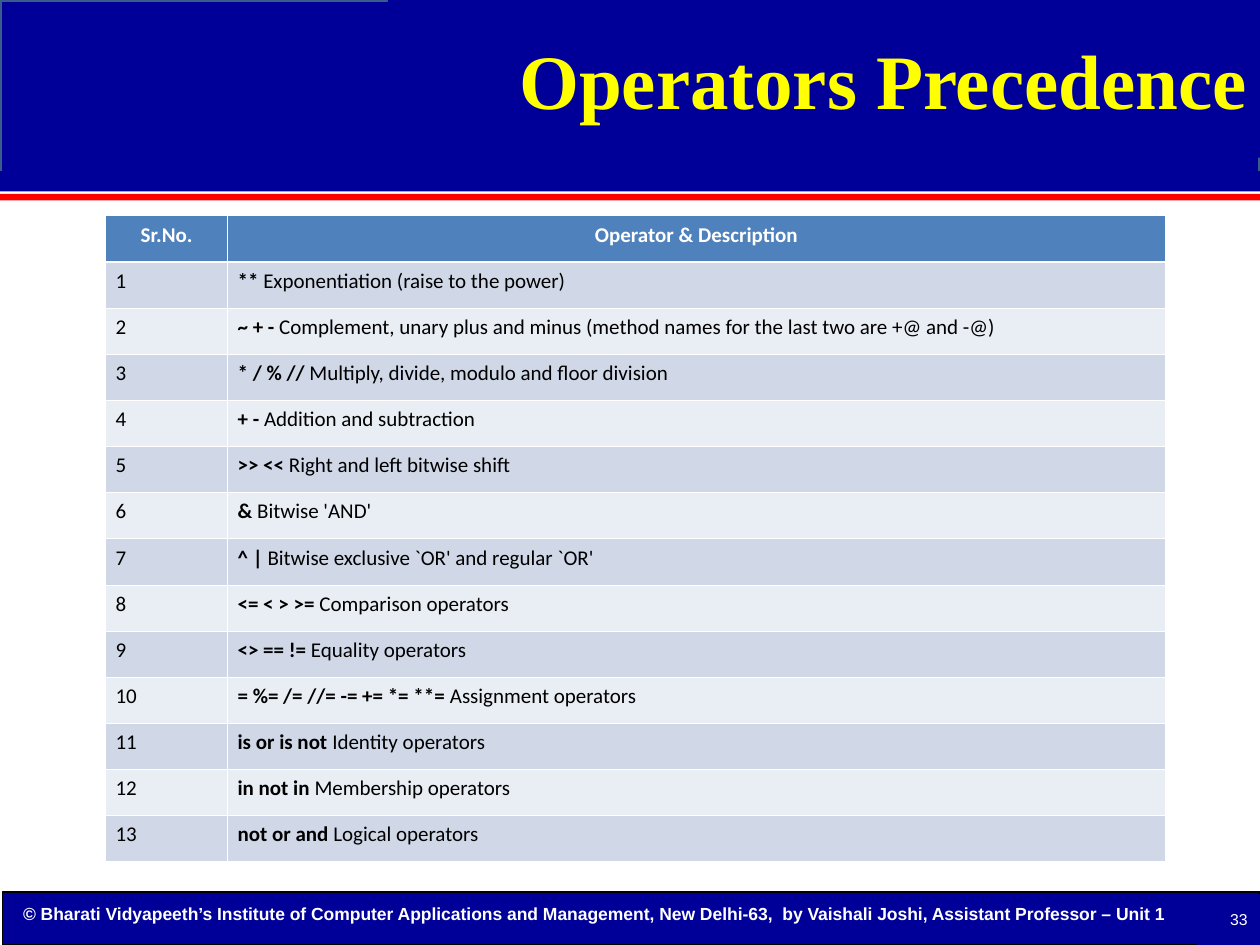
from dataclasses import dataclass

from lxml import etree
from pptx import Presentation
from pptx.dml.color import RGBColor
from pptx.enum.shapes import MSO_SHAPE
from pptx.enum.text import MSO_ANCHOR, PP_ALIGN
from pptx.oxml.ns import qn
from pptx.util import Cm, Pt

RECTANGLE = MSO_SHAPE.RECTANGLE
TOP, MIDDLE, BOTTOM = MSO_ANCHOR.TOP, MSO_ANCHOR.MIDDLE, MSO_ANCHOR.BOTTOM
LEFT, CENTER, RIGHT, JUSTIFY = (
    PP_ALIGN.LEFT, PP_ALIGN.CENTER, PP_ALIGN.RIGHT, PP_ALIGN.JUSTIFY)

COLORS = {
    "navy": "000099", "red": "FF0000", "yellow": "FFFF00", "white": "FFFFFF",
    "black": "000000", "outline": "385D8A",
    "header": "4F81BD", "band_dark": "D0D8E8", "band_light": "E9EDF4",
}


@dataclass
class Panel:
    left: float
    top: float
    width: float
    height: float
    fill: str | None = "navy"
    line: str | None = None
    line_width: float = 0.75


@dataclass
class Label:
    text: str
    font: str
    size: float
    color: str
    bold: bool = True
    align: PP_ALIGN = RIGHT
    anchor: MSO_ANCHOR = MIDDLE


@dataclass
class Operator:
    symbols: str
    description: str


FOOTER_BAR = Panel(0.05, 17.98, 25.35, 1.07, line="black")
HEADER = Panel(0, 0, 25.4, 3.61, line="outline", line_width=2)
HEADER_EDGE = Panel(0, 3.45, 25.4, 0.41)
RED_RULE = Panel(0, 3.91, 25.4, 0.13, fill="red")
COPYRIGHT_AREA = Panel(0, 18.06, 23.93, 0.69, fill=None)
TITLE_AREA = Panel(7.82, 0, 17.58, 3.18)
NUMBER_AREA = Panel(24.13, 18.03, 1.27, 1.02)

COPYRIGHT = Label(
    "© Bharati Vidyapeeth’s Institute of Computer Applications and Management, "
    "New Delhi-63,  by Vaishali Joshi, Assistant Professor – Unit 1",
    "Arial", 10, "white", align=CENTER, anchor=BOTTOM)
TITLE = Label("Operators Precedence", "Times New Roman", 44, "yellow")
PAGE_NUMBER = Label("33", "Arial", 9, "white", bold=False)

HEADINGS = ("Sr.No.", "Operator & Description")
OPERATORS = [
    Operator("**", "Exponentiation (raise to the power)"),
    Operator("~ + -", "Complement, unary plus and minus "
                      "(method names for the last two are +@ and -@)"),
    Operator("* / % //", "Multiply, divide, modulo and floor division"),
    Operator("+ -", "Addition and subtraction"),
    Operator(">> <<", "Right and left bitwise shift"),
    Operator("&", "Bitwise 'AND'"),
    Operator("^ |", "Bitwise exclusive `OR' and regular `OR'"),
    Operator("<= < > >=", "Comparison operators"),
    Operator("<> == !=", "Equality operators"),
    Operator("= %= /= //= -= += *= **=", "Assignment operators"),
    Operator("is or is not", "Identity operators"),
    Operator("in not in", "Membership operators"),
    Operator("not or and", "Logical operators"),
]
COLUMN_WIDTHS = (2.46, 18.9)
TABLE_LEFT, TABLE_TOP, ROW_HEIGHT = 2.13, 4.35, 0.93
THIN, THICK = 0.45, 1.47


def rgb(name: str) -> RGBColor:
    return RGBColor.from_string(COLORS[name])


def draw_panel(page, panel: Panel, label: Label | None = None) -> None:
    """Draw a rectangle, or a plain text box when it has no fill."""
    area = [Cm(v) for v in (panel.left, panel.top, panel.width, panel.height)]
    if panel.fill is None:
        box = page.shapes.add_textbox(*area)
    else:
        box = page.shapes.add_shape(RECTANGLE, *area)
        box.shadow.inherit = False
        box.fill.solid()
        box.fill.fore_color.rgb = rgb(panel.fill)
        if panel.line:
            box.line.color.rgb = rgb(panel.line)
            box.line.width = Pt(panel.line_width)
        else:
            box.line.fill.background()
    if label:
        write_label(box.text_frame, label)


def write_label(frame, label: Label) -> None:
    frame.word_wrap = True
    frame.vertical_anchor = label.anchor
    para = frame.paragraphs[0]
    para.text = label.text
    para.alignment = label.align
    set_font(para.font, label.font, label.size, label.color)
    para.font.bold = label.bold


def set_font(font, name: str, size: float, color: str) -> None:
    font.name = name
    font.size = Pt(size)
    font.color.rgb = rgb(color)


def set_borders(cell, top: float, bottom: float) -> None:
    properties = cell._tc.get_or_add_tcPr()
    widths = {"a:lnL": THIN, "a:lnR": THIN, "a:lnT": top, "a:lnB": bottom}
    for tag, width in widths.items():
        line = etree.SubElement(properties, qn(tag), w=str(Pt(width)))
        fill = etree.SubElement(line, qn("a:solidFill"))
        etree.SubElement(fill, qn("a:srgbClr"), val=COLORS["white"])


def fill_cell(cell, row: int, spans: list[tuple[str, bool]],
              align: PP_ALIGN) -> None:
    """Style one cell and write its (text, bold) spans."""
    set_borders(cell, THICK if row == 1 else THIN, THICK if row == 0 else THIN)
    cell.fill.solid()
    band = "band_dark" if row % 2 else "band_light"
    cell.fill.fore_color.rgb = rgb("header" if row == 0 else band)
    cell.margin_left = cell.margin_right = Cm(0.2)
    cell.margin_top = cell.margin_bottom = Cm(0.13)
    cell.vertical_anchor = TOP
    para = cell.text_frame.paragraphs[0]
    para.alignment = align
    set_font(para.font, "Calibri", 12, "black" if row else "white")
    for text, bold in spans:
        span = para.add_run()
        span.text = text
        span.font.bold = bold


def draw_table(page) -> None:
    row_count = len(OPERATORS) + 1
    table = page.shapes.add_table(
        row_count, len(COLUMN_WIDTHS), Cm(TABLE_LEFT), Cm(TABLE_TOP),
        Cm(sum(COLUMN_WIDTHS)), Cm(ROW_HEIGHT * row_count)).table
    table.horz_banding = False
    for column, width in zip(table.columns, COLUMN_WIDTHS):
        column.width = Cm(width)
    for column, heading in enumerate(HEADINGS):
        fill_cell(table.cell(0, column), 0, [(heading, True)], CENTER)
    for row, operator in enumerate(OPERATORS, start=1):
        fill_cell(table.cell(row, 0), row, [(str(row), False)], LEFT)
        spans = [(operator.symbols + " ", True), (operator.description, False)]
        fill_cell(table.cell(row, 1), row, spans, JUSTIFY)


def main() -> None:
    deck = Presentation()
    deck.slide_width, deck.slide_height = Cm(25.4), Cm(19.05)
    page = deck.slides.add_slide(deck.slide_layouts[6])

    # Footer bar and copyright line
    draw_panel(page, FOOTER_BAR)
    draw_panel(page, COPYRIGHT_AREA, COPYRIGHT)

    # Header band, red rule and title
    for panel in (HEADER, HEADER_EDGE, RED_RULE):
        draw_panel(page, panel)
    draw_panel(page, TITLE_AREA, TITLE)

    # Page number and operator table
    draw_panel(page, NUMBER_AREA, PAGE_NUMBER)
    draw_table(page)

    deck.save("out.pptx")


if __name__ == "__main__":
    main()
